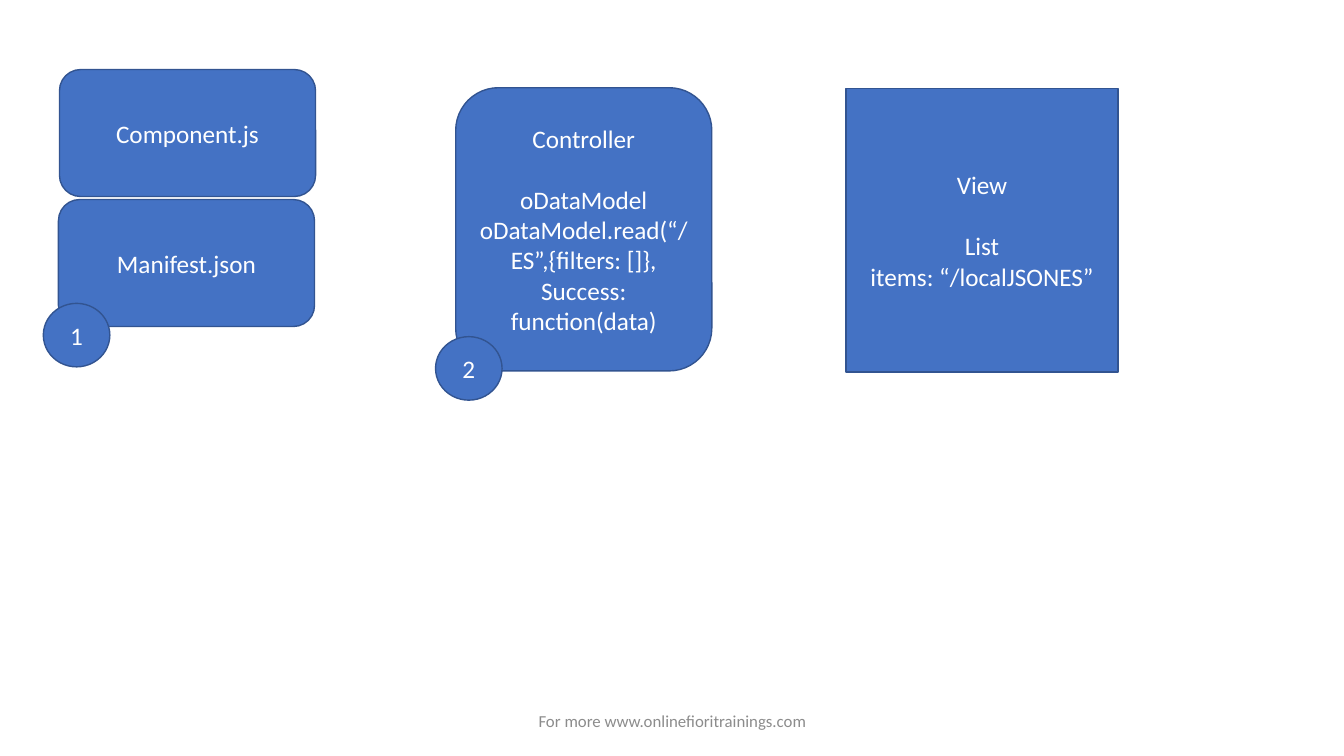
import pptx
import pptx.dml.color
import pptx.enum.shapes
import pptx.enum.text
import pptx.util

Inches = pptx.util.Inches
Pt = pptx.util.Pt
Shapes = pptx.enum.shapes.MSO_SHAPE


def colour(value):
    return pptx.dml.color.RGBColor.from_string(value)


class Diagram:
    """Holds the style and the current slide, and draws its boxes, badges and footer."""

    font = "Calibri"
    fill = "4472C4"
    outline = "325491"
    light = "FFFFFF"
    grey = "8C8C8C"

    def __init__(self, slide):
        self.slide = slide

    def add_lines(self, shape, lines, size, text_colour, heading_gap=0):
        frame = shape.text_frame
        frame.word_wrap = True
        frame.vertical_anchor = pptx.enum.text.MSO_ANCHOR.MIDDLE
        for index, line in enumerate(lines):
            paragraph = frame.add_paragraph() if index else frame.paragraphs[0]
            paragraph.alignment = pptx.enum.text.PP_ALIGN.CENTER
            if index == 0 and heading_gap:
                paragraph.space_after = Pt(heading_gap)
            run = paragraph.add_run()
            run.text = line
            run.font.name = self.font
            run.font.size = Pt(size)
            run.font.color.rgb = colour(text_colour)

    def box(self, kind, left, top, width, height, lines, heading_gap=0):
        shape = self.slide.shapes.add_shape(
            kind, Inches(left), Inches(top), Inches(width), Inches(height))
        shape.shadow.inherit = False
        shape.fill.solid()
        shape.fill.fore_color.rgb = colour(self.fill)
        shape.line.color.rgb = colour(self.outline)
        shape.line.width = Pt(1)
        self.add_lines(shape, lines, 18, self.light, heading_gap)

    def badge(self, left, top, number):
        self.box(Shapes.OVAL, left, top, 0.66, 0.63, [number])

    def footer(self, left, top, width, height, text):
        shape = self.slide.shapes.add_textbox(
            Inches(left), Inches(top), Inches(width), Inches(height))
        self.add_lines(shape, [text], 12, self.grey)


def main():
    presentation = pptx.Presentation()
    presentation.slide_width = Inches(13.33)
    presentation.slide_height = Inches(7.5)
    diagram = Diagram(presentation.slides.add_slide(presentation.slide_layouts[6]))

    diagram.footer(4.42, 6.95, 4.5, 0.4, "For more www.onlinefioritrainings.com")
    diagram.box(Shapes.RECTANGLE, 8.39, 0.88, 2.7, 2.81,
                ["View", "List", "items: “/localJSONES”"], heading_gap=22)
    diagram.box(Shapes.ROUNDED_RECTANGLE, 4.52, 0.87, 2.54, 2.81,
                ["Controller", "oDataModel", "oDataModel.read(“/ES”,{filters: []},",
                 "Success: function(data)"], heading_gap=22)
    diagram.box(Shapes.ROUNDED_RECTANGLE, 0.59, 0.69, 2.54, 1.26, ["Component.js"])
    diagram.box(Shapes.ROUNDED_RECTANGLE, 0.58, 1.98, 2.54, 1.26, ["Manifest.json"])
    diagram.badge(0.43, 3.01, "1")
    diagram.badge(4.32, 3.34, "2")

    presentation.save("out.pptx")


if __name__ == "__main__":
    main()
